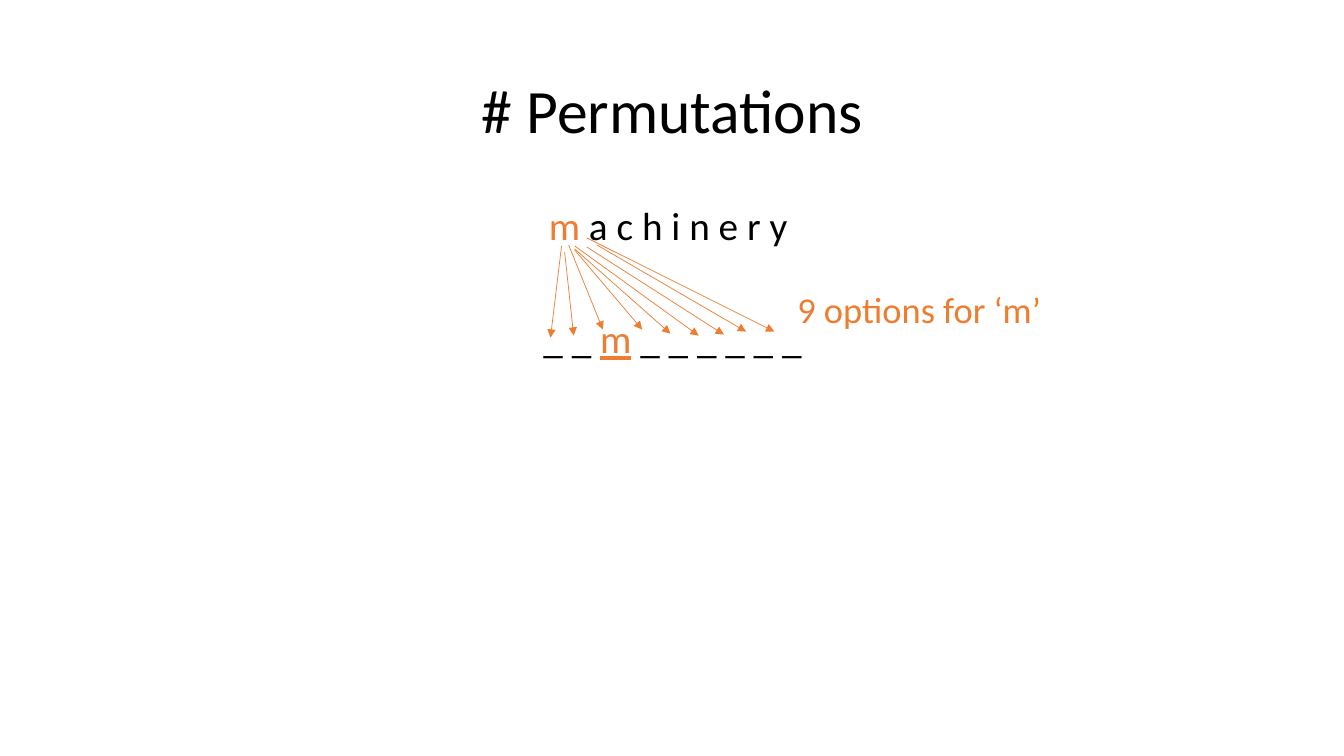
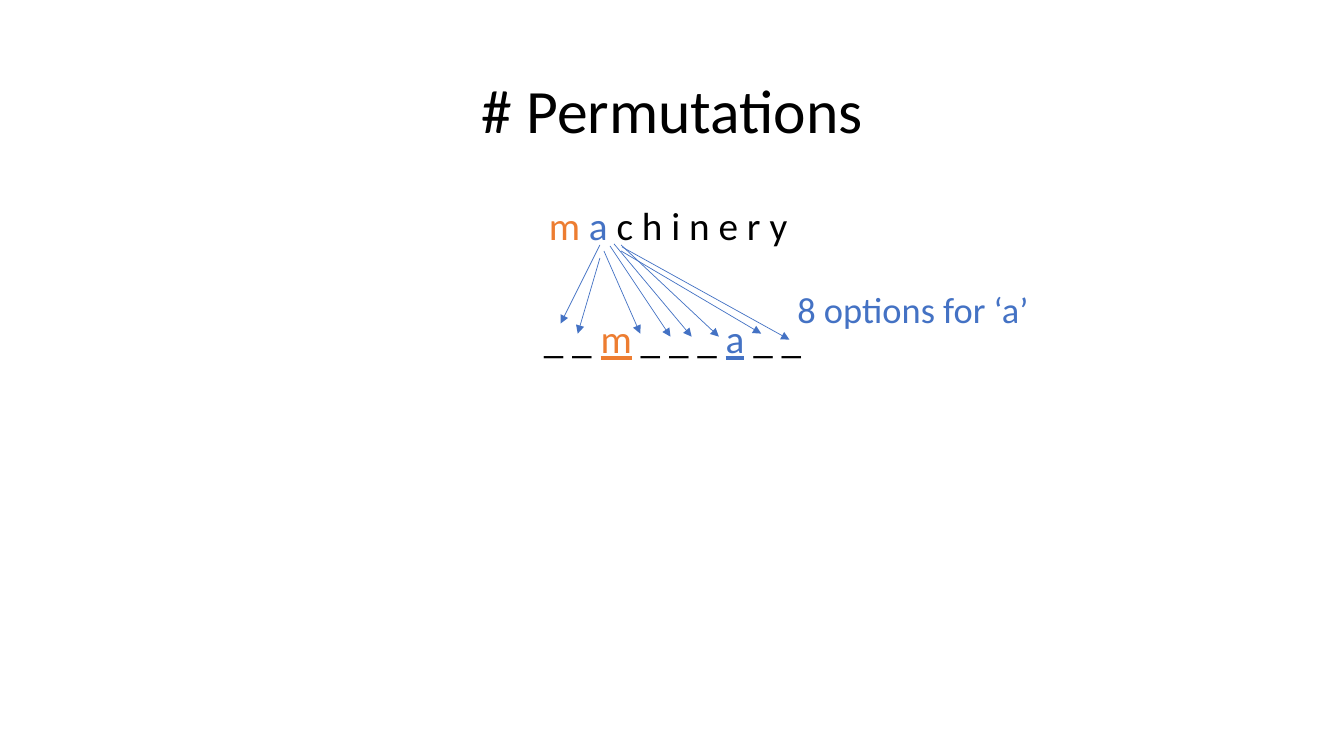
from lxml.etree import SubElement
from pptx import Presentation
from pptx.dml.color import RGBColor
from pptx.enum.shapes import MSO_CONNECTOR
from pptx.enum.text import MSO_ANCHOR, PP_ALIGN
from pptx.oxml.ns import qn
from pptx.util import Inches, Pt

WIDE, HIGH = 13.33, 7.5
FONT = "Calibri"
COLORS = {"ink": "000000", "m": "ED7D31", "a": "4472C4"}
TITLE = "# Permutations"
BOXES = {
    "title": (0.92, 0.4, 11.5, 1.45),
    "body": (0.92, 2, 11.5, 4.76),
    "note": (7.81, 2.8, 3.43, 0.54),
}
GAP = 50.8

SLIDES = [
    {
        "key": "m",
        "note": "9 options for ‘m’",
        "word": [("m", "m"), (" a c h i n e r y ", "ink")],
        "slots": [("_ _ ", "ink"), ("m", "m", True), (" _ _ _ _ _ _", "ink")],
        "arrows": [
            (5.57, 2.44, 5.46, 3.35), (5.6, 2.5, 5.69, 3.33),
            (5.64, 2.43, 5.98, 3.27), (5.7, 2.48, 6.37, 3.27),
            (5.7, 2.47, 6.65, 3.31), (5.7, 2.44, 6.93, 3.33),
            (5.82, 2.45, 7.18, 3.32), (5.92, 2.43, 7.4, 3.29),
            (5.82, 2.36, 7.68, 3.29),
        ],
    },
    {
        "key": "a",
        "note": "8 options for ‘a’",
        "word": [("m ", "m"), ("a", "a"), (" c h i n e r y ", "ink")],
        "slots": [("_ _ ", "ink"), ("m", "m", True), (" _ _ _ ", "ink"),
                  ("a", "a", True), (" _ _", "ink")],
        "arrows": [
            (5.95, 2.43, 5.56, 3.21), (5.95, 2.56, 5.73, 3.31),
            (5.99, 2.49, 6.35, 3.31), (6.05, 2.44, 6.65, 3.34),
            (6.09, 2.42, 6.86, 3.34), (6.16, 2.43, 7.13, 3.34),
            (6.16, 2.49, 7.55, 3.31), (6.17, 2.45, 7.83, 3.37),
        ],
    },
]


def style(target, values):
    for name, value in values.items():
        setattr(target, name, value)


def write(slide, box, lines, size, form, anchor=MSO_ANCHOR.TOP):
    frame = slide.shapes.add_textbox(*map(Inches, BOXES[box])).text_frame
    style(frame, {"word_wrap": True, "vertical_anchor": anchor})
    for row, parts in enumerate(lines):
        para = frame.add_paragraph() if row else frame.paragraphs[0]
        style(para, form)
        if row:
            para.space_before = Pt(GAP)
        for text, color, *under in parts:
            run = para.add_run()
            run.text = text
            style(run.font, {"name": FONT, "size": Pt(size), "underline": bool(under)})
            run.font.color.rgb = RGBColor.from_string(COLORS[color])


def arrow(slide, ends, color):
    link = slide.shapes.add_connector(MSO_CONNECTOR.STRAIGHT, *map(Inches, ends))
    link.line.width = Pt(0.5)
    link.line.color.rgb = RGBColor.from_string(COLORS[color])
    SubElement(link.line._get_or_add_ln(), qn("a:tailEnd"), type="triangle")
    SubElement(link._element.spPr, qn("a:effectLst"))


def main():
    deck = Presentation()
    style(deck, {"slide_width": Inches(WIDE), "slide_height": Inches(HIGH)})
    center = {"alignment": PP_ALIGN.CENTER, "line_spacing": 0.9}
    for page in SLIDES:
        slide = deck.slides.add_slide(deck.slide_layouts[6])
        key = page["key"]
        write(slide, "title", [[(TITLE, "ink")]], 44, center, MSO_ANCHOR.MIDDLE)
        write(slide, "body", [page["word"], page["slots"]], 28, center)
        write(slide, "note", [[(page["note"], key)]], 26, {"alignment": PP_ALIGN.LEFT})
        for ends in page["arrows"]:
            arrow(slide, ends, key)
    deck.save("out.pptx")


if __name__ == "__main__":
    main()
